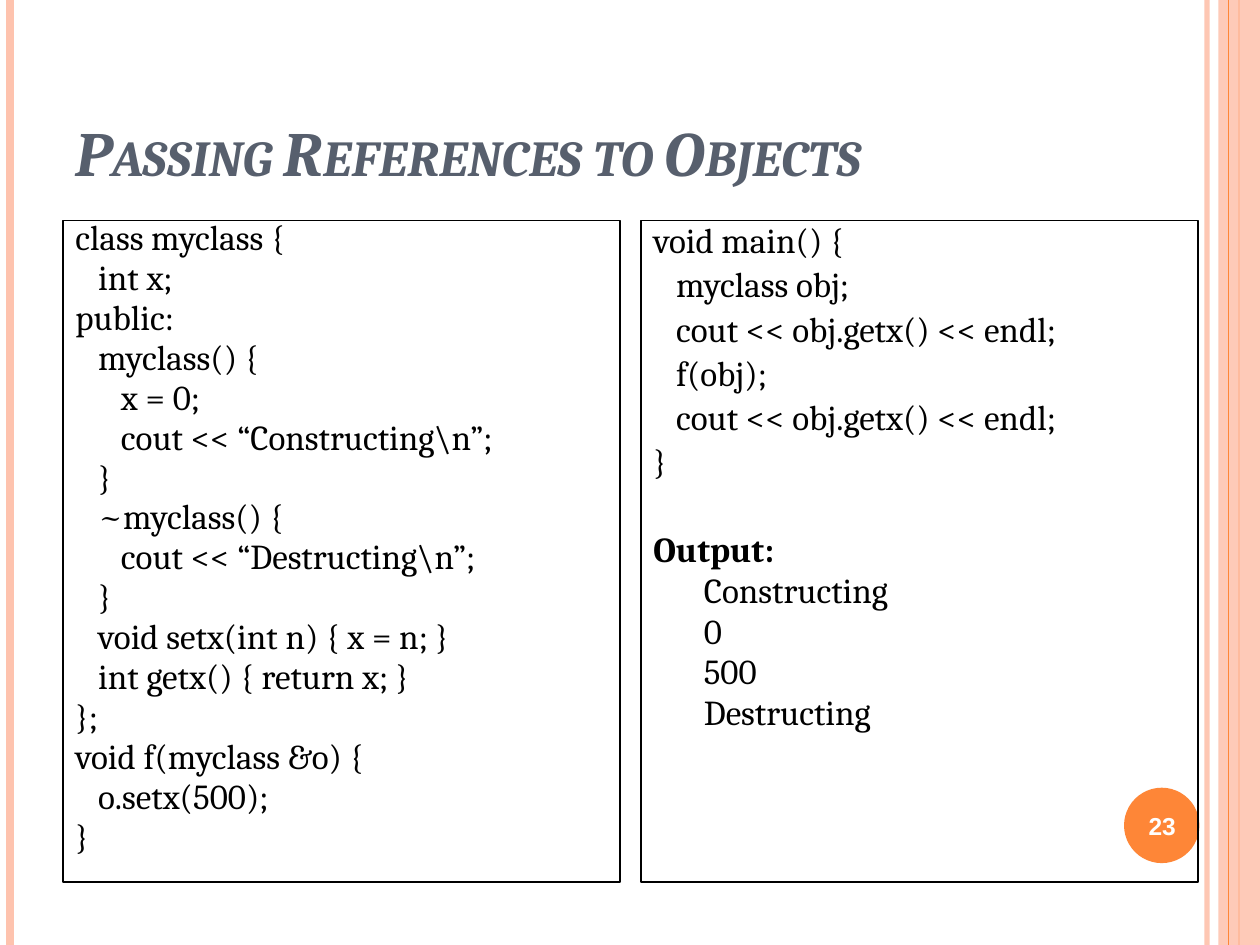
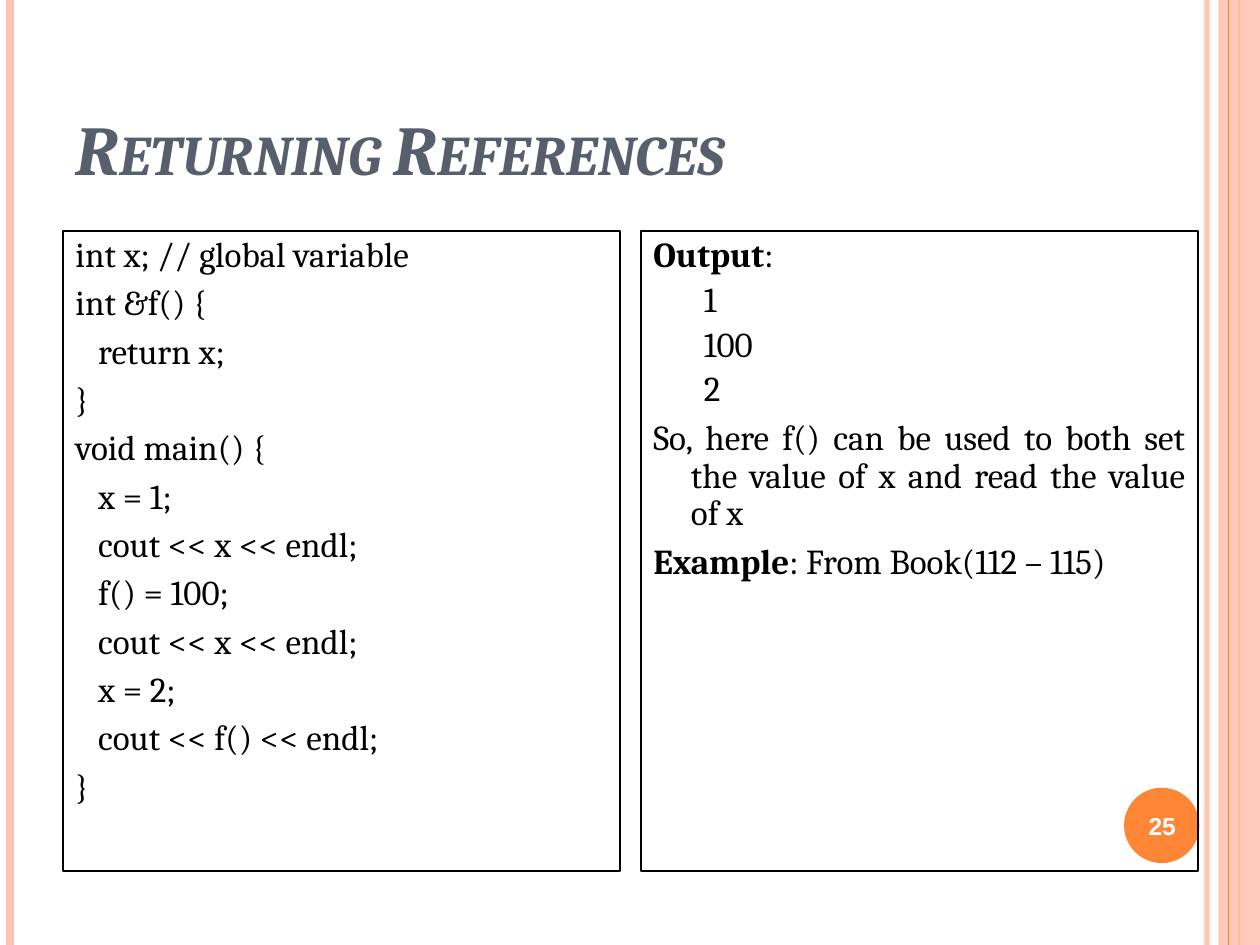
from lxml import etree
from pptx import Presentation, util as u
from pptx.dml.color import RGBColor
from pptx.enum import shapes, text
from pptx.oxml.ns import qn

WIDE, HIGH = 25.4, 19.05
PEACH, FLAME, SLATE, BLACK, WHITE = "FEC3AE", "FE8637", "575F6D", "000000", "FFFFFF"
SERIF, SANS = "Cambria", "Arial"

RULES = [
    (24.33, PEACH, 3, 93),
    (0.21, PEACH, 4.5, 100),
    (24.98, FLAME, 1.5, 100),
    (24.77, FLAME, 0.75, 100),
]
BAND = (24.56, 0, 0.84, HIGH)
DISC = (22.66, 15.88, 1.52, 1.52)
BADGE = (22.58, 15.93, 1.7, 1.45)
TITLE = (1.27, 0.76, 20.75, 3.18)
LEFT, GAP, COL = 1.27, 0.42, 11.23

STEP = 0.46
STYLES = {
    "head": (0.76, -0.76, 6),
    "late": (0.76, -0.76, 31.3),
    "prose": (0.76, -0.76, 6),
    "item": (1.78, -0.76, 4),
}
STYLES.update({depth: (depth * STEP, 0, 6) for depth in range(3)})

SLIDES = [
    {
        "title": "Passing References to Objects", "size": 36, "number": "23",
        "top": 4.45, "tall": 13.33, "align": text.PP_ALIGN.LEFT,
        "cols": [
            (0.7, [
                (0, "class myclass {"),
                (1, "int x;"),
                (0, "public:"),
                (1, "myclass() {"),
                (2, "x = 0;"),
                (2, "cout << “Constructing\\n”;"),
                (1, "}"),
                (1, "~myclass() {"),
                (2, "cout << “Destructing\\n”;"),
                (1, "}"),
                (1, "void setx(int n) { x = n; }"),
                (1, "int getx() { return x; }"),
                (0, "};"),
                (0, "void f(myclass &o) {"),
                (1, "o.setx(500);"),
                (0, "}"),
            ]),
            (0.8, [
                (0, "void main() {"),
                (1, "myclass obj;"),
                (1, "cout << obj.getx() << endl;"),
                (1, "f(obj);"),
                (1, "cout << obj.getx() << endl;"),
                (0, "}"),
                ("late", "Output:", ""),
                ("item", "Constructing"),
                ("item", "0"),
                ("item", "500"),
                ("item", "Destructing"),
            ]),
        ],
    },
    {
        "title": "Returning References", "size": 40, "number": "25",
        "top": 4.66, "tall": 12.9, "align": text.PP_ALIGN.JUSTIFY,
        "cols": [
            (0.9, [
                (0, "int x; // global variable"),
                (0, "int &f() {"),
                (1, "return x;"),
                (0, "}"),
                (0, "void main() {"),
                (1, "x = 1;"),
                (1, "cout << x << endl;"),
                (1, "f() = 100;"),
                (1, "cout << x << endl;"),
                (1, "x = 2;"),
                (1, "cout << f() << endl;"),
                (0, "}"),
            ]),
            (0.9, [
                ("head", "Output", ":"),
                ("item", "1"),
                ("item", "100"),
                ("item", "2"),
                ("prose", "So, here f() can be used to both set the value of x "
                          "and read the value of x"),
                ("head", "Example", ": From Book(112 – 115)"),
            ]),
        ],
    },
]


def paint(part, hue, alpha=100):
    part.solid()
    part.fore_color.rgb = RGBColor.from_string(hue)
    if alpha < 100:
        tint = part._xPr.find(".//" + qn("a:srgbClr"))
        etree.SubElement(tint, qn("a:alpha")).set("val", str(alpha * 1000))


def style(run, size, face, hue, bold=False):
    font = run.font
    font.size, font.name, font.bold = u.Pt(size), face, bold
    font.color.rgb = RGBColor.from_string(hue)


def rule(slide, x, hue, width, alpha):
    line = slide.shapes.add_connector(
        shapes.MSO_CONNECTOR.STRAIGHT, u.Cm(x), 0, u.Cm(x), u.Cm(HIGH))
    line.line.width = u.Pt(width)
    paint(line.line.fill, hue, alpha)
    etree.SubElement(line._element.spPr, qn("a:effectLst"))


def block(slide, kind, place, hue=None, alpha=100):
    shape = slide.shapes.add_shape(kind, *map(u.Cm, place))
    shape.shadow.inherit = False
    shape.line.fill.background()
    if hue:
        paint(shape.fill, hue, alpha)
    else:
        shape.fill.background()
    return shape


def label(slide, place, words, anchor):
    frame = slide.shapes.add_textbox(*map(u.Cm, place)).text_frame
    frame.word_wrap = True
    frame.vertical_anchor = anchor
    frame.text = words
    return frame.paragraphs[0]


def write(para, row, space, align):
    kind, *parts = row
    left, first, before = STYLES[kind]
    para.alignment, para.line_spacing = align, space
    para.space_before = u.Pt(before)
    props = para._p.get_or_add_pPr()
    props.set("marL", str(u.Cm(left)))
    props.set("indent", str(u.Cm(first)))
    for i, words in enumerate(filter(None, parts)):
        run = para.add_run()
        run.text = words
        style(run, 20, SERIF, BLACK, len(parts) > 1 and i == 0)


def panel(slide, place, space, rows, align):
    box = block(slide, shapes.MSO_SHAPE.RECTANGLE, place)
    paint(box.line.fill, BLACK)
    box.line.width = u.Pt(0.75)
    frame = box.text_frame
    frame.word_wrap = True
    frame.vertical_anchor = text.MSO_ANCHOR.TOP
    for i, row in enumerate(rows):
        para = frame.add_paragraph() if i else frame.paragraphs[0]
        write(para, row, space, align)


def frame_page(slide, page):
    for line in RULES[:3]:
        rule(slide, *line)
    block(slide, shapes.MSO_SHAPE.RECTANGLE, BAND, PEACH, 87)
    rule(slide, *RULES[3])
    block(slide, shapes.MSO_SHAPE.OVAL, DISC, FLAME)
    head = label(slide, TITLE, page["title"], text.MSO_ANCHOR.BOTTOM).runs[0]
    style(head, page["size"], SERIF, SLATE, True)
    head.font.italic = True
    head._r.get_or_add_rPr().set("cap", "small")
    mark = label(slide, BADGE, page["number"], text.MSO_ANCHOR.MIDDLE)
    mark.alignment = text.PP_ALIGN.CENTER
    style(mark.runs[0], 14, SANS, WHITE, True)


def main():
    deck = Presentation()
    deck.slide_width, deck.slide_height = u.Cm(WIDE), u.Cm(HIGH)
    for page in SLIDES:
        slide = deck.slides.add_slide(deck.slide_layouts[6])
        frame_page(slide, page)
        for i, (space, rows) in enumerate(page["cols"]):
            place = (LEFT + i * (COL + GAP), page["top"], COL, page["tall"])
            panel(slide, place, space, rows, page["align"])
    deck.save("out.pptx")


if __name__ == "__main__":
    main()
